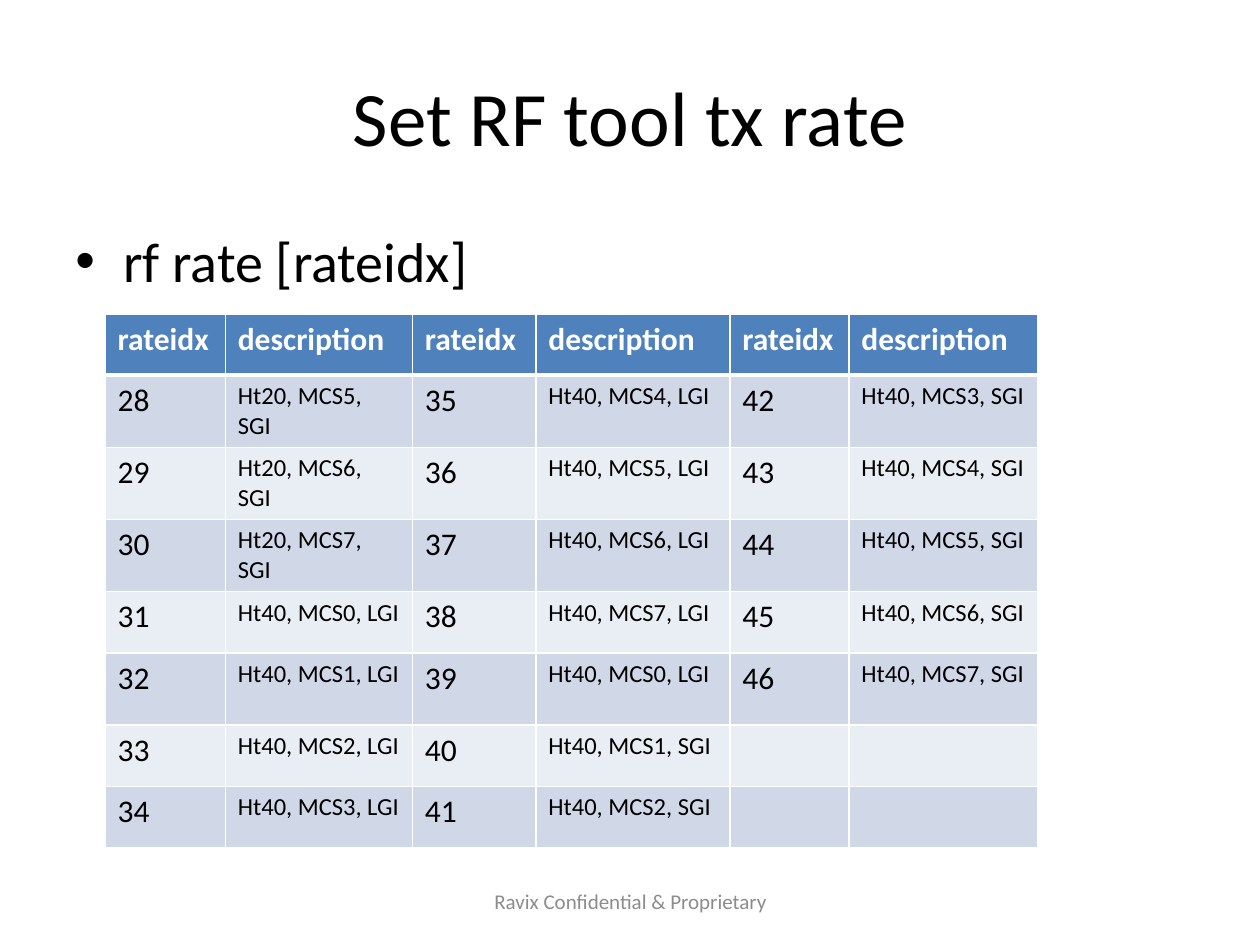
from itertools import product

from pptx import Presentation
from pptx.dml.color import RGBColor
from pptx.enum.text import MSO_ANCHOR as Anchor, PP_ALIGN as Align
from pptx.oxml import parse_xml
from pptx.oxml.ns import nsdecls
from pptx.util import Inches, Pt

COLORS = {"ink": "000000", "paper": "FFFFFF", "muted": "8C8C8C",
          "header": "4F81BD", "odd": "D0D8E8", "even": "E9EDF4"}


class SlideBuilder:
    """Holds the style and the slide; lengths are percent of the slide."""
    font = "Calibri"

    def __init__(self, deck):
        self.deck = deck
        self.slide = deck.slides.add_slide(deck.slide_layouts[6])

    def x(self, percent):
        return round(self.deck.slide_width * percent / 100)

    def y(self, percent):
        return round(self.deck.slide_height * percent / 100)

    def style(self, paragraph, size, color, bold=False):
        for run in paragraph.runs:
            run.font.name, run.font.size, run.font.bold = self.font, Pt(size), bold
            run.font.color.rgb = RGBColor.from_string(COLORS[color])

    def text(self, words, left, top, width, height, size, color="ink",
             anchor=Anchor.MIDDLE, align=Align.CENTER):
        box = self.slide.shapes.add_textbox(
            self.x(left), self.y(top), self.x(width), self.y(height))
        frame = box.text_frame
        frame.word_wrap, frame.vertical_anchor = True, anchor
        frame.text = words
        paragraph = frame.paragraphs[0]
        paragraph.alignment = align
        self.style(paragraph, size, color)
        return paragraph

    def bullet(self, words, *area, size):
        paragraph = self.text(words, *area, size, anchor=Anchor.TOP, align=Align.LEFT)
        paragraph.space_before = Pt(size * 0.2)
        properties = paragraph._p.get_or_add_pPr()
        properties.set("marL", str(Inches(0.38)))
        properties.set("indent", str(-Inches(0.38)))
        properties.append(parse_xml(f'<a:buFont {nsdecls("a")} typeface="Arial"/>'))
        properties.append(parse_xml(f'<a:buChar {nsdecls("a")} char="•"/>'))

    def borders(self, cell, **widths):
        properties = cell._tc.get_or_add_tcPr()
        for side in "LRTB":
            properties.append(parse_xml(
                f'<a:ln{side} {nsdecls("a")} w="{Pt(widths.get(side, 1))}"><a:solidFill>'
                f'<a:srgbClr val="{COLORS["paper"]}"/></a:solidFill></a:ln{side}>'))

    def table(self, rows, left, top, widths, heights):
        table = self.slide.shapes.add_table(
            len(rows), len(widths), self.x(left), self.y(top),
            self.x(sum(widths)), self.y(sum(heights))).table
        for column, width in zip(table.columns, widths):
            column.width = self.x(width)
        for row, height in zip(table.rows, heights):
            row.height = self.y(height)
        for r, c in product(range(len(rows)), range(len(widths))):
            cell, is_header = table.cell(r, c), r == 0
            self.borders(cell, **({"B": 3} if is_header else {"T": 3} if r == 1 else {}))
            cell.fill.solid()
            band = "header" if is_header else "odd" if r % 2 else "even"
            cell.fill.fore_color.rgb = RGBColor.from_string(COLORS[band])
            if rows[r][c]:
                cell.text_frame.text = rows[r][c]
                self.style(cell.text_frame.paragraphs[0],
                           14 if c % 2 and not is_header else 18,
                           "paper" if is_header else "ink", bold=is_header)


def rate_rows(first=28, per_column=7, column_pairs=3):
    """Numbers the rates and runs them down each pair of columns."""
    rates = [f"Ht20, MCS{n}, SGI" for n in range(5, 8)]
    rates += [f"Ht40, MCS{n}, LGI" for n in range(8)]
    rates += ["Ht40, MCS0, LGI"]
    rates += [f"Ht40, MCS{n}, SGI" for n in range(1, 8)]
    entries = [(str(index), rate) for index, rate in enumerate(rates, first)]
    entries += [("", "")] * (per_column * column_pairs - len(entries))
    body = [sum(entries[start::per_column], ()) for start in range(per_column)]
    return [("rateidx", "description") * column_pairs] + body


def main():
    deck = Presentation()
    deck.slide_width, deck.slide_height = Inches(10), Inches(7.5)
    page = SlideBuilder(deck)

    # Title, footer and command
    page.text("Set RF tool tx rate", 5, 3.9, 90, 16.67, size=44)
    page.text("Ravix Confidential & Proprietary", 34.2, 92.67, 31.7, 5.33,
              size=12, color="muted")
    page.bullet("rf rate [rateidx]", 5, 23.33, 90, 66, size=32)

    # Rate table
    short, tall = 6.5, 7.63
    page.table(rate_rows(), 8.33, 33.2,
               widths=[9.55, 14.85, 9.8, 15.4, 9.45, 15],
               heights=[short, tall, tall, tall, short, tall, short, short])

    deck.save("out.pptx")


if __name__ == "__main__":
    main()
